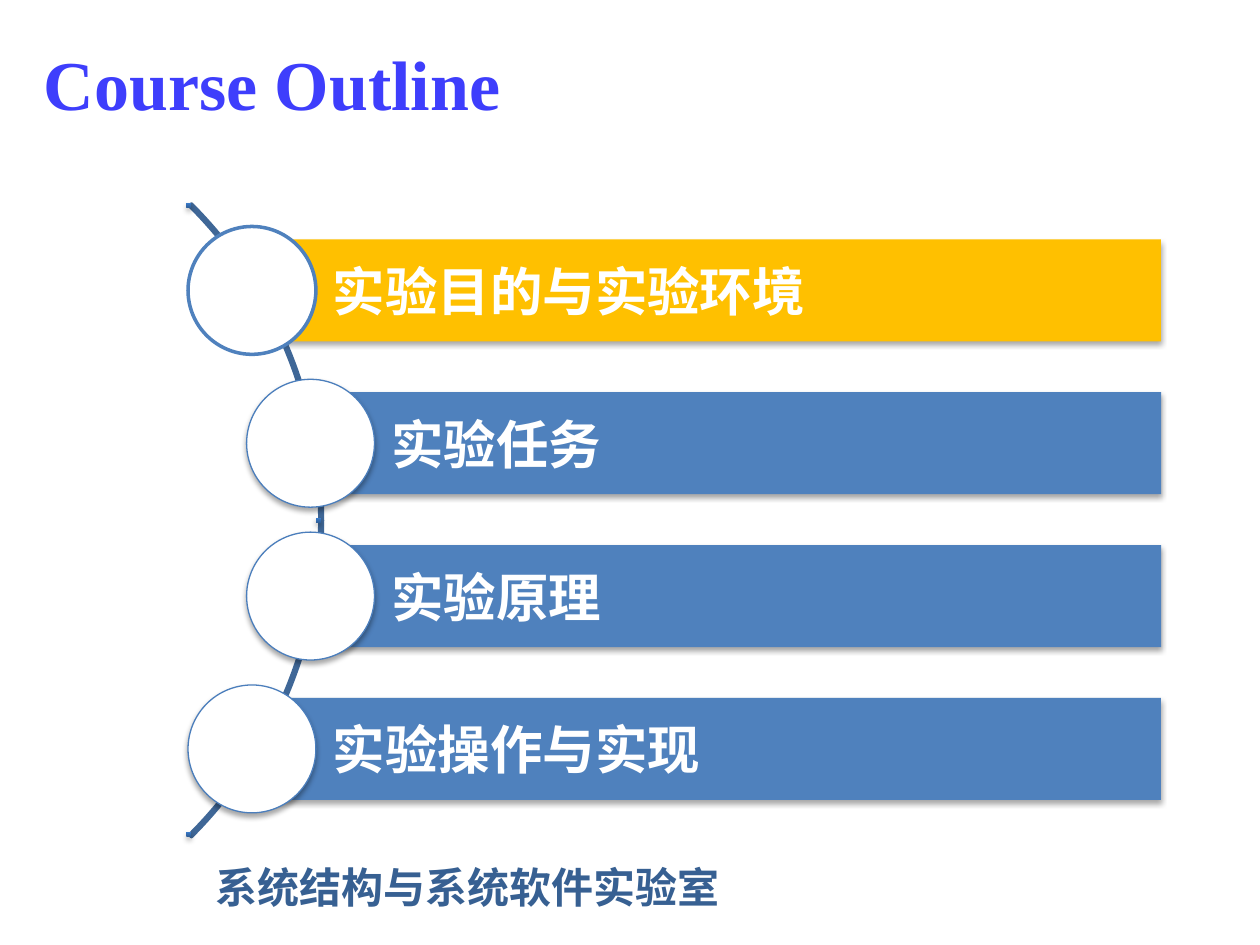
"""Build the course outline slide: four topic bars threaded along an arc."""
from lxml.etree import SubElement
from pptx import Presentation
from pptx.dml.color import RGBColor
from pptx.enum.shapes import MSO_SHAPE as Shape
from pptx.enum.text import MSO_ANCHOR as Anchor, PP_ALIGN as Align
from pptx.oxml import parse_xml
from pptx.oxml.ns import nsdecls, qn
from pptx.util import Inches, Pt

WHITE = RGBColor(0xFF, 0xFF, 0xFF)
AMBER = RGBColor(0xFF, 0xC0, 0x00)
BLUE = RGBColor(0x4F, 0x81, 0xBD)
RIM_BLUE = RGBColor(0x4B, 0x7E, 0xBC)
ARC_BLUE = RGBColor(0x3F, 0x67, 0x97)
DOT_DARK = RGBColor(0x2F, 0x5F, 0x99)
DOT_LIGHT = RGBColor(0x3A, 0x7C, 0xCB)
TITLE_BLUE = RGBColor(0x3E, 0x3E, 0xFC)
LAB_BLUE = RGBColor(0x37, 0x60, 0x92)

CJK = "Noto Sans CJK SC"
WIDTH, HEIGHT = Inches(10), Inches(7.5)
COLUMNS, ROWS = 100, 75
BAR_RIGHT, BAR_ROWS, CIRCLE = 92.15, 8.1, 10.15
FIRST_ROW, ROW_STEP = 23.05, 12.13
ARC_COLUMN, ARC_ROW, ARC_SIZE = -9.9, 41.3, 71
OUTER_COLUMN, INNER_COLUMN = 20, 24.65
TOPICS = [
    ("实验目的与实验环境", OUTER_COLUMN),
    ("实验任务", INNER_COLUMN),
    ("实验原理", INNER_COLUMN),
    ("实验操作与实现", OUTER_COLUMN),
]
DOTS = [(15, 16.3), (25.3, ARC_ROW), (15, 66.2)]


def place(column, row, columns, rows):
    """Turn grid cells into left, top, width and height."""
    return (round(column * WIDTH / COLUMNS), round(row * HEIGHT / ROWS),
            round(columns * WIDTH / COLUMNS), round(rows * HEIGHT / ROWS))


def centred(column, row, size):
    """Give the place of a square around a grid point."""
    return place(column - size / 2, row - size / 2, size, size)


def add_shape(page, kind, box, fill=None, line=None, weight=0.75):
    """Add a flat preset shape with optional fill and outline."""
    shape = page.shapes.add_shape(kind, *box)
    shape.shadow.inherit = False
    if fill is None:
        shape.fill.background()
    else:
        shape.fill.solid()
        shape.fill.fore_color.rgb = fill
    if line is None:
        shape.line.fill.background()
    else:
        shape.line.color.rgb = line
        shape.line.width = Pt(weight)
    return shape


def add_shadow(shape):
    """Drop a soft shadow straight below a shape."""
    effects = shape._element.spPr.find(qn("a:effectLst"))
    effects.append(parse_xml(
        f'<a:outerShdw {nsdecls("a")} blurRad="{Pt(3.1)}" dist="{Pt(1.8)}" '
        'dir="5400000" rotWithShape="0"><a:srgbClr val="000000">'
        '<a:alpha val="35000"/></a:srgbClr></a:outerShdw>'))


def write(shape, text, font, size, color, anchor=Anchor.MIDDLE):
    """Write one bold line of left-aligned text in a shape."""
    frame = shape.text_frame
    frame.word_wrap = True
    frame.vertical_anchor = anchor
    para = frame.paragraphs[0]
    para.alignment = Align.LEFT
    span = para.add_run()
    span.text = text
    para.font.name, para.font.size = font, Pt(size)
    para.font.bold, para.font.color.rgb = True, color
    for styled in (para, span):
        styled.font.name, styled.font.size = font, Pt(size)
        styled.font.bold, styled.font.color.rgb = True, color
    if not text.isascii():
        SubElement(span.font._element, qn("a:ea"), typeface=CJK)
    return frame


def add_label(page, box, *style):
    """Add a free text box."""
    write(page.shapes.add_textbox(*box), *style)


def add_topic(page, index, text, column):
    """Add one topic bar with the circle on its left end."""
    current = index == 0
    row = FIRST_ROW + index * ROW_STEP
    box = place(column, row - BAR_ROWS / 2, BAR_RIGHT - column, BAR_ROWS)
    bar = add_shape(page, Shape.RECTANGLE, box, AMBER if current else BLUE)
    add_shadow(bar)
    frame = write(bar, text, "Calibri", 30, WHITE)
    frame.margin_left = Inches(0.64)
    frame.margin_top = frame.margin_right = frame.margin_bottom = Inches(0.08)
    circle = add_shape(page, Shape.OVAL, centred(column, row, CIRCLE), WHITE,
                       BLUE if current else RIM_BLUE, 2 if current else 0.75)
    if not current:
        add_shadow(circle)


def add_arc(page):
    """Add the thin quarter arc that threads the circles."""
    arc = add_shape(page, Shape.BLOCK_ARC,
                    centred(ARC_COLUMN, ARC_ROW, ARC_SIZE), line=ARC_BLUE, weight=2)
    for index, value in enumerate((189, 27, 0.003)):
        arc.adjustments[index] = value


def add_dot(page, column, row):
    """Add a small shaded square on the arc."""
    dot = add_shape(page, Shape.RECTANGLE, centred(column, row, 0.4))
    dot.fill.gradient()
    dot.fill.gradient_angle = 90
    for stop, color in zip(dot.fill.gradient_stops, (DOT_DARK, DOT_LIGHT)):
        stop.color.rgb = color
    add_shadow(dot)


def main():
    """Build and save the deck."""
    deck = Presentation()
    deck.slide_width, deck.slide_height = WIDTH, HEIGHT
    page = deck.slides.add_slide(deck.slide_layouts[6])
    add_label(page, place(16.1, 67.9, 52.8, 5.1), "系统结构与系统软件实验室",
              CJK, 24, LAB_BLUE, Anchor.TOP)
    add_label(page, place(2.5, 1.3, 76.6, 10.5), "Course Outline",
              "Times New Roman", 40, TITLE_BLUE)
    add_arc(page)
    for index, (text, column) in enumerate(TOPICS):
        add_topic(page, index, text, column)
    for column, row in DOTS:
        add_dot(page, column, row)
    deck.save("out.pptx")


if __name__ == "__main__":
    main()
